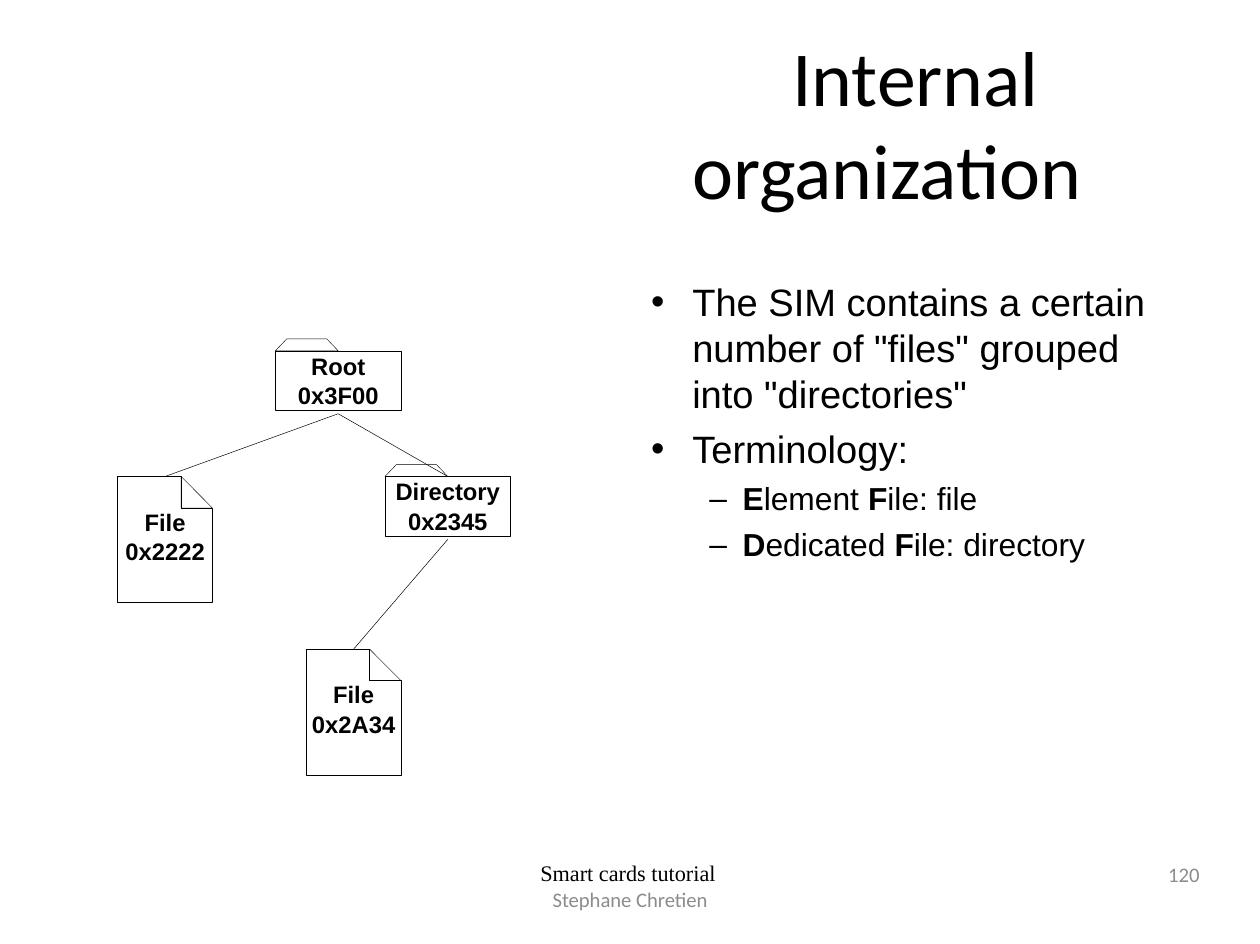
from lxml import etree
from pptx import Presentation, util as u
from pptx.dml.color import RGBColor
from pptx.enum import shapes, text
from pptx.oxml.ns import qn

# Content: boxes are left, top, width, height in percent of the slide
TITLE = ["Internal", "organization"]
TITLE_BOX = (53.04, 2.91, 34.72, 19.98)
BULLETS = [  # level, (text, bold) parts
    (0, [('The SIM contains a certain number of "files" grouped into "directories"', False)]),
    (0, [("Terminology:", False)]),
    (1, [("E", True), ("lement ", False), ("F", True), ("ile: file", False)]),
    (1, [("D", True), ("edicated ", False), ("F", True), ("ile: directory", False)]),
]
BULLETS_BOX = (51.59, 29.54, 39.9, 30.27)
LEVELS = [  # mark, size, left margin, hanging indent, space before
    ("•", 24, 0.37, -0.36, 6),
    ("–", 20, 0.81, -0.29, 5),
]
FOOTERS = [  # text, box, font, size, colour, alignment
    ("Stephane Chretien", (34.18, 94.07, 31.64, 2.54), "Calibri", 13, "8C8C8C", "CENTER"),
    ("120", (92.02, 91.28, 3.17, 2.66), "Calibri", 13, "8C8C8C", "RIGHT"),
    ("Smart cards tutorial", (42.88, 91.28, 14.23, 2.66), "Times New Roman", 14, "000000", "LEFT"),
]
NODES = {  # kind, lines, centre, top
    "root": ("folder", ["Root", "0x3F00"], 26.84, 37.17),
    "root file": ("file", ["File", "0x2222"], 13.1, 50.48),
    "directory": ("folder", ["Directory", "0x2345"], 35.54, 50.48),
    "directory file": ("file", ["File", "0x2A34"], 28.06, 68.77),
}
SIZES = {"folder": (9.97, 6.3), "file": (7.52, 13.32)}
LINKS = [("root", "root file"), ("root", "directory"), ("directory", "directory file")]
LINK_GAP = 0.36
# Outlines in shares of the node's width and height
TAB = [(0, 0), (0.09, -0.2), (0.41, -0.2), (0.5, 0)]
FOLD = [(0.67, 0), (1, 0.25), (0.67, 0.25)]
PAGE = [(0, 0), (0, 1), (1, 1), (1, 0.25), (0.67, 0.25), (0.67, 0)]

deck = Presentation()
deck.slide_width, deck.slide_height = u.Inches(11.03), u.Inches(8.26)
slide = deck.slides.add_slide(deck.slide_layouts[6])


def color(value):
    return RGBColor.from_string(value)


def place(x, y):
    return round(deck.slide_width * x / 100), round(deck.slide_height * y / 100)


def ink(item, width=0.25):
    item.line.color.rgb = color("000000")
    item.line.width = u.Pt(width)


def style(font, name, size, hue="000000", bold=False):
    font.name, font.size, font.bold = name, u.Pt(size), bold
    font.color.rgb = color(hue)


def clear_frame(frame, anchor=text.MSO_ANCHOR.TOP):
    frame.word_wrap = True
    frame.margin_left = frame.margin_right = frame.margin_top = frame.margin_bottom = 0
    frame.vertical_anchor = anchor
    return frame


def text_box(box, anchor=text.MSO_ANCHOR.TOP):
    area = slide.shapes.add_textbox(*place(*box[:2]), *place(*box[2:]))
    return clear_frame(area.text_frame, anchor)


def label(frame, lines):
    frame.text = "\n".join(lines)
    for paragraph in frame.paragraphs:
        paragraph.alignment = text.PP_ALIGN.CENTER
        paragraph.line_spacing = u.Pt(18.4)
        style(paragraph.runs[0].font, "Arial", 15, bold=True)


def outline(shares, left, top, width, height):
    points = [place(left + x * width, top + y * height) for x, y in shares]
    builder = slide.shapes.build_freeform(*points[0])
    builder.add_line_segments(points[1:], close=True)
    drawn = builder.convert_to_shape()
    drawn.shadow.inherit = False
    drawn.fill.background()
    ink(drawn)


# Title, with the first line set a little to the right
title = text_box(TITLE_BOX, text.MSO_ANCHOR.MIDDLE).paragraphs[0]
title.text = "\v".join(TITLE)
title.alignment = text.PP_ALIGN.CENTER
title._p.get_or_add_pPr().set("indent", str(u.Inches(0.5)))
for run in title.runs:
    style(run.font, "Calibri", 49)

# Bullets
bullets = text_box(BULLETS_BOX)
for number, (level, parts) in enumerate(BULLETS):
    mark, size, margin, hanging, before = LEVELS[level]
    point = bullets.add_paragraph() if number else bullets.paragraphs[0]
    point.level = level
    if number:
        point.space_before = u.Pt(before)
    props = point._p.get_or_add_pPr()
    props.set("marL", str(u.Inches(margin)))
    props.set("indent", str(u.Inches(hanging)))
    etree.SubElement(props, qn("a:buFont")).set("typeface", "Arial")
    etree.SubElement(props, qn("a:buChar")).set("char", mark)
    for words, bold in parts:
        run = point.add_run()
        run.text = words
        style(run.font, "Arial", size, bold=bold)

# File tree: nodes
for kind, lines, centre, top in NODES.values():
    width, height = SIZES[kind]
    left = centre - width / 2
    if kind == "folder":
        outline(TAB, left, top, width, height)
        body = slide.shapes.add_shape(shapes.MSO_SHAPE.RECTANGLE, *place(left, top), *place(width, height))
        body.shadow.inherit = False
        body.fill.background()
        ink(body)
        label(clear_frame(body.text_frame), lines)
    else:
        outline(FOLD, left, top, width, height)
        outline(PAGE, left, top, width, height)
        label(text_box((left, top + height * 0.24, width, height * 0.48)), lines)

# File tree: links from the foot of a folder to the top of its child
for parent, child in LINKS:
    kind, _, centre, top = NODES[parent]
    foot = top + SIZES[kind][1] + LINK_GAP
    link = slide.shapes.add_connector(
        shapes.MSO_CONNECTOR.STRAIGHT, *place(centre, foot), *place(*NODES[child][2:]))
    ink(link, 0.3)
    etree.SubElement(link._element.spPr, qn("a:effectLst"))

# Footer
for words, box, name, size, hue, side in FOOTERS:
    footer = text_box(box, text.MSO_ANCHOR.MIDDLE).paragraphs[0]
    footer.text = words
    footer.alignment = getattr(text.PP_ALIGN, side)
    footer.line_spacing = u.Pt(15.1)
    style(footer.runs[0].font, name, size, hue)

deck.save("out.pptx")
